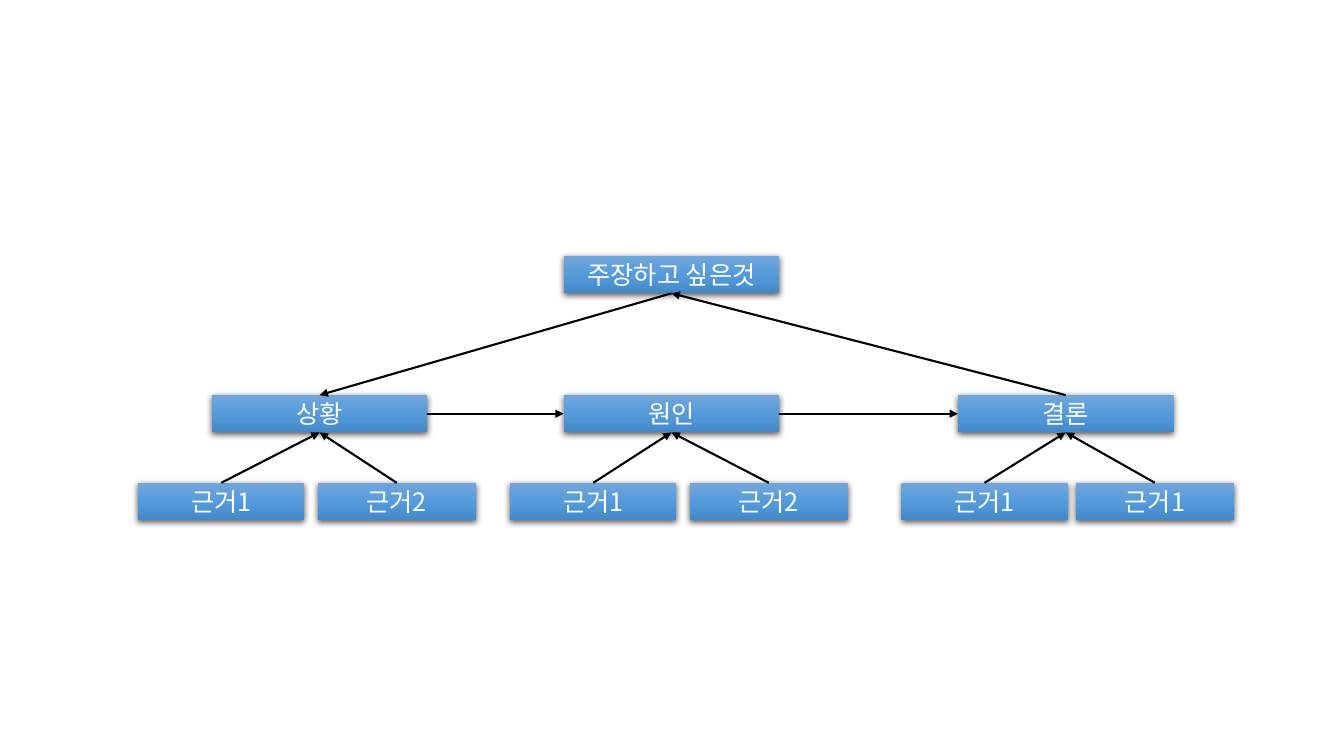
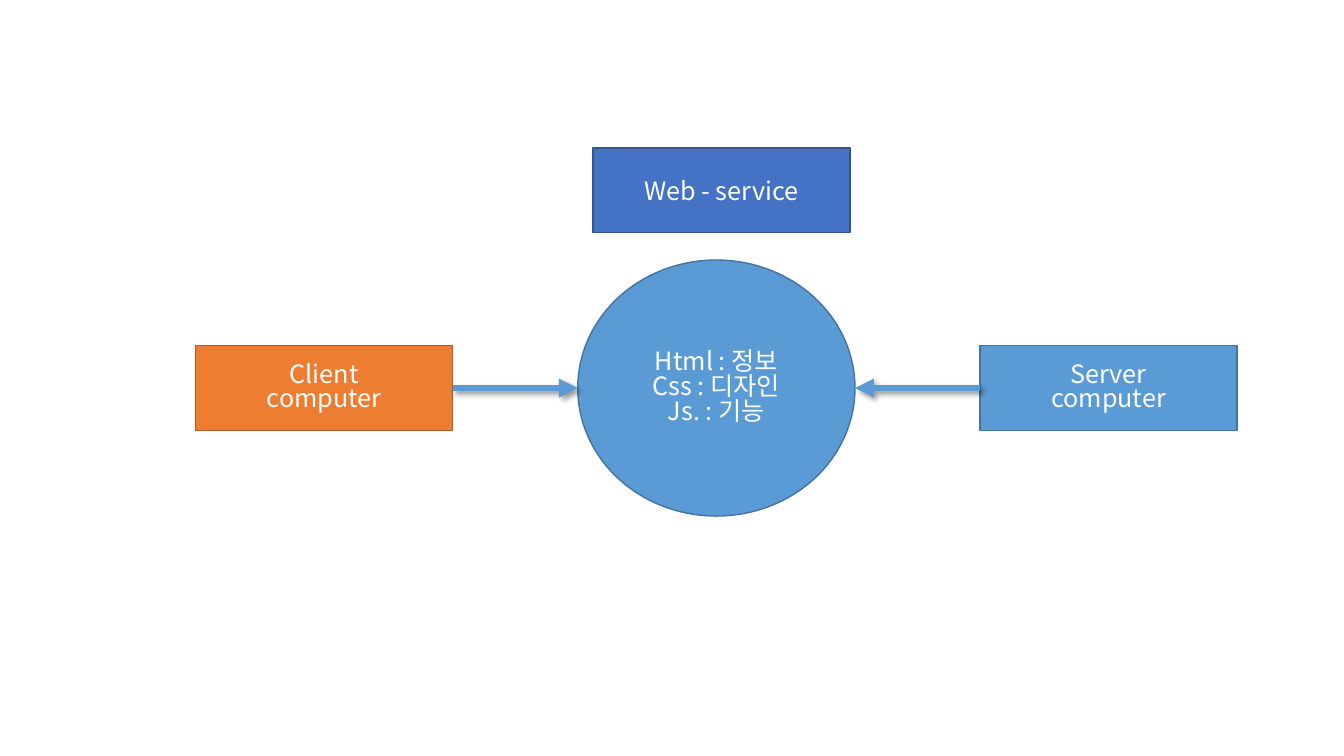
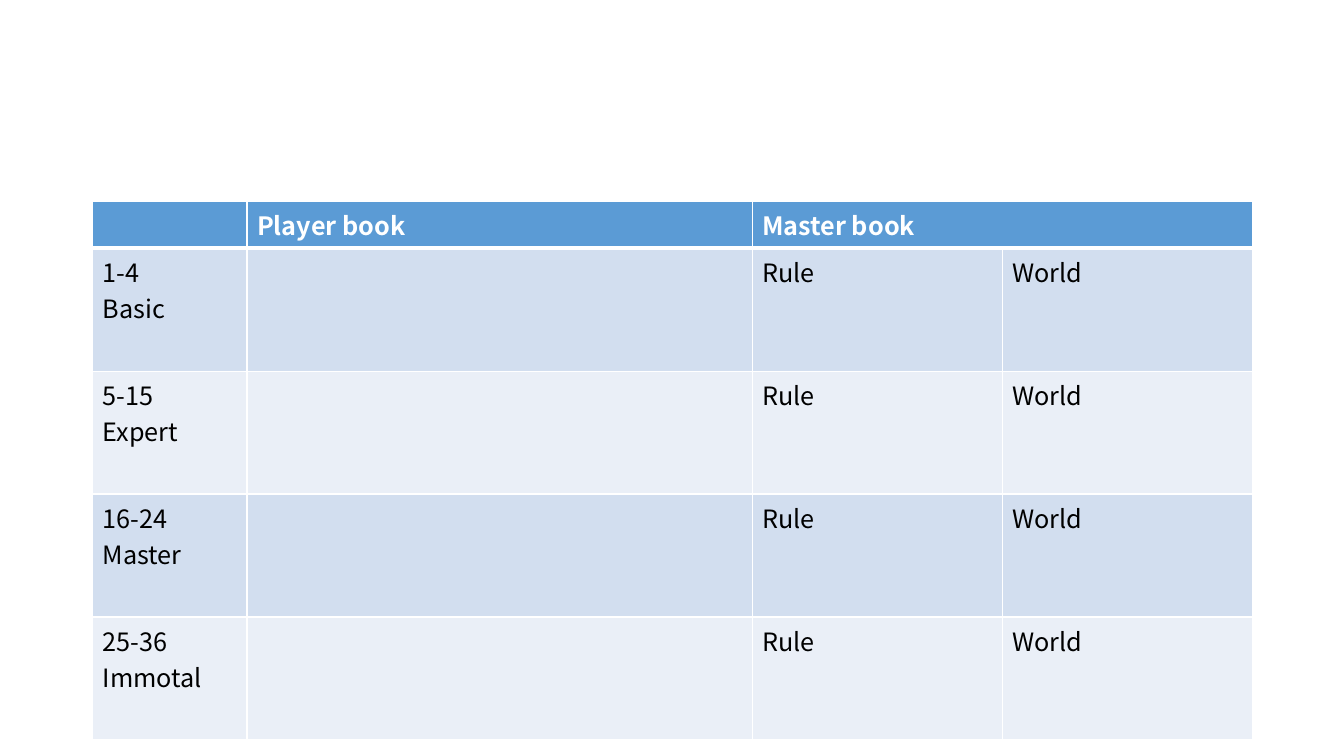
from dataclasses import dataclass
from typing import Any

from lxml import etree
from pptx import Presentation
from pptx import util as u
from pptx.dml.color import RGBColor
from pptx.enum import shapes, text
from pptx.oxml.ns import qn


@dataclass(frozen=True)
class Shadow:
    alpha: int
    blur: float
    dist: float
    angle: int


@dataclass(frozen=True)
class Theme:
    font: str = "Noto Sans CJK KR"
    size: float = 18
    white: str = "FFFFFF"
    black: str = "000000"
    blue: str = "5B9BD5"
    blue_edge: str = "43739E"
    indigo: str = "4472C4"
    indigo_edge: str = "325491"
    orange: str = "ED7D31"
    orange_edge: str = "AF5C24"
    gradient: tuple[str, ...] = ("71A6DB", "559BDB", "448ACA")
    bands: tuple[str, ...] = ("D2DEEF", "EAEFF7")
    box_shadow: Shadow = Shadow(63, 4.5, 1.5, 90)
    arrow_shadow: Shadow = Shadow(40, 4, 3, 45)
    tight: float = 0.82


@dataclass(frozen=True)
class Box:
    """A labelled shape; without a fill it takes the theme gradient."""
    lines: tuple[str, ...]
    x: float
    y: float
    w: float
    h: float
    fill: str | None = None
    edge: str | None = None
    kind: Any = shapes.MSO_SHAPE.RECTANGLE


@dataclass(frozen=True)
class Branch:
    label: str
    x: float
    leaves: tuple[tuple[str, float], ...]


T = Theme()
TOP, LEFT, BOTTOM, RIGHT = range(4)


def rgb(value: str) -> RGBColor:
    return RGBColor.from_string(value)


def set_all(obj: Any, values: dict[str, Any]) -> None:
    for name, value in values.items():
        setattr(obj, name, value)


def add_node(parent: Any, tag: str, **attrs: Any) -> Any:
    return etree.SubElement(parent, qn(tag), {k: str(v) for k, v in attrs.items()})


def add_color(parent: Any, color: str) -> Any:
    return add_node(parent, "a:srgbClr", val=color)


def add_shadow(effects: Any, shadow: Shadow) -> None:
    node = add_node(effects, "a:outerShdw", blurRad=u.Pt(shadow.blur), dist=u.Pt(shadow.dist),
                    dir=shadow.angle * 60000, algn="ctr", rotWithShape=0)
    add_node(add_color(node, T.black), "a:alpha", val=shadow.alpha * 1000)


def write(tf: Any, lines: tuple[str, ...], color: str, bold: bool = False, **para: Any) -> None:
    for i, line in enumerate(lines):
        p = tf.paragraphs[0] if i == 0 else tf.add_paragraph()
        set_all(p, para)
        r = p.add_run()
        r.text = line
        set_all(r.font, {"name": T.font, "size": u.Pt(T.size), "bold": bold})
        r.font.color.rgb = rgb(color)
        add_node(r.font._element, "a:ea", typeface=T.font)


def fill_gradient(sp: Any) -> None:
    sp.fill.gradient()
    sp.fill.gradient_angle = 270
    stops = sp._element.spPr.find(".//" + qn("a:gsLst"))
    for stop in list(stops):
        stops.remove(stop)
    for i, color in enumerate(T.gradient):
        add_color(add_node(stops, "a:gs", pos=i * 50000), color)


def add_box(slide: Any, box: Box) -> Any:
    sp = slide.shapes.add_shape(box.kind, *map(u.Inches, (box.x, box.y, box.w, box.h)))
    if box.fill:
        sp.fill.solid()
        sp.fill.fore_color.rgb = rgb(box.fill)
    else:
        fill_gradient(sp)
    if box.edge:
        sp.line.color.rgb = rgb(box.edge)
        sp.line.width = u.Pt(1)
    else:
        sp.line.fill.background()
    sp.shadow.inherit = False
    if not box.fill:
        add_shadow(sp._element.spPr.find(qn("a:effectLst")), T.box_shadow)
    sp.text_frame.vertical_anchor = text.MSO_ANCHOR.MIDDLE
    para = {"alignment": text.PP_ALIGN.CENTER}
    if len(box.lines) > 1:
        para["line_spacing"] = T.tight
    write(sp.text_frame, box.lines, T.white, **para)
    return sp


def add_arrow(slide: Any, start: Any, start_side: int, end: Any, end_side: int,
              color: str = T.black, width: float = 1.5, shadow: Shadow | None = None) -> Any:
    c = slide.shapes.add_connector(shapes.MSO_CONNECTOR.STRAIGHT, 0, 0, 0, 0)
    c.begin_connect(start, start_side)
    c.end_connect(end, end_side)
    if end.auto_shape_type == shapes.MSO_SHAPE.OVAL:
        # An ellipse has eight connection sites, a rectangle four.
        c._element.find(".//" + qn("a:endCxn")).set("idx", str(end_side * 2))
    c.line.color.rgb = rgb(color)
    c.line.width = u.Pt(width)
    add_node(c.line._get_or_add_ln(), "a:tailEnd", type="triangle")
    effects = add_node(c._element.spPr, "a:effectLst")
    if shadow:
        add_shadow(effects, shadow)
    return c


def build_argument(slide: Any) -> None:
    trunk_w, box_h = 2.14, 0.37
    claim_y, branch_y, leaf_y = 2.54, 3.92, 4.79
    leaf_widths = (1.65, 1.57)
    branches = (
        Branch("상황", 2.1, (("근거1", 1.37), ("근거2", 3.15))),
        Branch("원인", 5.59, (("근거1", 5.06), ("근거2", 6.84))),
        Branch("결론", 9.5, (("근거1", 8.94), ("근거1", 10.67))),
    )
    claim = add_box(slide, Box(("주장하고 싶은것",), 5.59, claim_y, trunk_w, box_h))
    heads = []
    for branch in branches:
        head = add_box(slide, Box((branch.label,), branch.x, branch_y, trunk_w, box_h))
        heads.append(head)
        for (label, x), w in zip(branch.leaves, leaf_widths):
            leaf = add_box(slide, Box((label,), x, leaf_y, w, box_h))
            add_arrow(slide, leaf, TOP, head, BOTTOM)
    for left, right in zip(heads, heads[1:]):
        add_arrow(slide, left, RIGHT, right, LEFT)
    add_arrow(slide, claim, BOTTOM, heads[0], TOP)
    add_arrow(slide, heads[-1], TOP, claim, BOTTOM)


def build_web_service(slide: Any) -> None:
    w, h, middle_y = 2.55, 0.84, 3.43
    add_box(slide, Box(("Web - service",), 5.88, 1.47, w, h, T.indigo, T.indigo_edge))
    client = add_box(slide, Box(("Client", "computer"), 1.94, middle_y, w, h,
                                T.orange, T.orange_edge))
    server = add_box(slide, Box(("Server", "computer"), 9.72, middle_y, w, h,
                                T.blue, T.blue_edge))
    page = add_box(slide, Box(("Html : 정보", "Css : 디자인", "Js. : 기능"), 5.73, 2.58, 2.75, 2.54,
                              T.blue, T.blue_edge, shapes.MSO_SHAPE.OVAL))
    for computer, side, page_side in ((client, RIGHT, LEFT), (server, LEFT, RIGHT)):
        add_arrow(slide, computer, side, page, page_side, T.blue, 4.5, T.arrow_shadow)


def style_cell(cell: Any, fill: str, top: float, bottom: float) -> None:
    """Fill a cell and give it white borders of the given widths in points."""
    tc_pr = cell._tc.get_or_add_tcPr()
    for side, width in {"L": 1, "R": 1, "T": top, "B": bottom}.items():
        ln = add_node(tc_pr, f"a:ln{side}", w=u.Pt(width))
        add_color(add_node(ln, "a:solidFill"), T.white)
    cell.fill.solid()
    cell.fill.fore_color.rgb = rgb(fill)


def build_books(slide: Any) -> None:
    widths = (1.53, 5.01, 2.48, 2.48)
    head_h, row_h = 0.45, 1.22
    levels = (("1-4", "Basic"), ("5-15", "Expert"), ("16-24", "Master"), ("25-36", "Immotal"))
    rows = [((), ("Player book",), ("Master book",), ())]
    rows += [(level, (), ("Rule",), ("World",)) for level in levels]
    frame = slide.shapes.add_table(len(rows), len(widths), u.Inches(0.92), u.Inches(2),
                                   u.Inches(sum(widths)), u.Inches(head_h + row_h * len(levels)))
    table = frame.table
    for column, width in zip(table.columns, widths):
        column.width = u.Inches(width)
    for i, row in enumerate(rows):
        is_head = i == 0
        table.rows[i].height = u.Inches(head_h if is_head else row_h)
        fill = T.blue if is_head else T.bands[(i - 1) % 2]
        for j, lines in enumerate(row):
            cell = table.cell(i, j)
            style_cell(cell, fill, 3 if i == 1 else 1, 3 if is_head else 1)
            write(cell.text_frame, lines, T.white if is_head else T.black, is_head)
    table.cell(0, 2).merge(table.cell(0, 3))


def main() -> None:
    prs = Presentation()
    set_all(prs, {"slide_width": u.Inches(13.33), "slide_height": u.Inches(7.5)})
    for build in (build_argument, build_web_service, build_books):
        build(prs.slides.add_slide(prs.slide_layouts[6]))
    prs.save("out.pptx")


if __name__ == "__main__":
    main()
